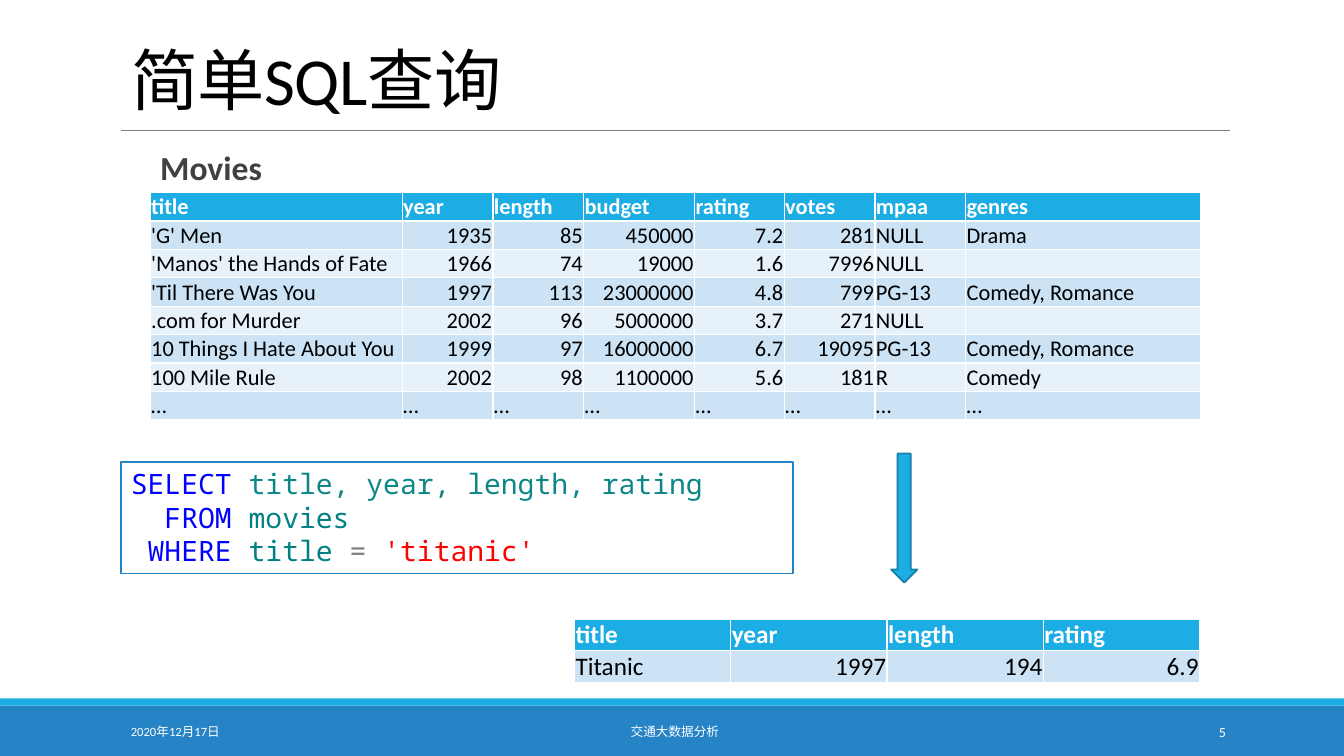
"""Build the slide on simple SQL queries with its source table and result."""
import dataclasses

import lxml.etree
import pptx
import pptx.dml.color
import pptx.enum.shapes
import pptx.enum.text
import pptx.oxml.ns
import pptx.util
from pptx.presentation import Presentation
from pptx.shapes.base import BaseShape
from pptx.slide import Slide
from pptx.text.text import TextFrame

SHAPE = pptx.enum.shapes.MSO_SHAPE
ANCHOR = pptx.enum.text.MSO_ANCHOR
ALIGN = pptx.enum.text.PP_ALIGN
CELLS_PER_INCH = 10
WIDTH, HEIGHT = 133.33, 75
MARGIN, CONTENT_WIDTH = 12, 110
TABLE_LEFT = 14.9
CYAN, BLUE, WHITE, BLACK = "1CADE4", "2683C6", "FFFFFF", "000000"
BANDS = ("E7F1FA", "CCE3F5")


@dataclasses.dataclass(frozen=True)
class Area:
    """A rectangle in grid columns and rows."""
    left: float
    top: float
    width: float
    height: float


@dataclasses.dataclass(frozen=True)
class Span:
    """A stretch of text in one format."""
    text: str
    size: float
    color: str
    bold: bool = False
    font: str = "Calibri"


@dataclasses.dataclass(frozen=True)
class Block:
    """A preset shape with its fill and outline."""
    kind: pptx.enum.shapes.MSO_SHAPE
    area: Area
    fill: str
    outline: str | None = None


@dataclasses.dataclass(frozen=True)
class Label:
    """A one-line text box."""
    area: Area
    span: Span
    align: pptx.enum.text.PP_ALIGN = ALIGN.LEFT
    anchor: pptx.enum.text.MSO_ANCHOR = ANCHOR.MIDDLE
    wrap: bool = True


@dataclasses.dataclass(frozen=True)
class Grid:
    """A table with a header row."""
    left: float
    top: float
    columns: tuple[float, ...]
    row_height: float
    size: float
    anchor: pptx.enum.text.MSO_ANCHOR
    rows: tuple[tuple[str, ...], ...]


MOVIES = Grid(TABLE_LEFT, 19.1, (25, 9, 9, 11, 8.9, 9, 9, 23.3), 2.8, 16, ANCHOR.MIDDLE, (
    ("title", "year", "length", "budget", "rating", "votes", "mpaa", "genres"),
    ("'G' Men", "1935", "85", "450000", "7.2", "281", "NULL", "Drama"),
    ("'Manos' the Hands of Fate", "1966", "74", "19000", "1.6", "7996", "NULL", ""),
    ("'Til There Was You", "1997", "113", "23000000", "4.8", "799", "PG-13", "Comedy, Romance"),
    (".com for Murder", "2002", "96", "5000000", "3.7", "271", "NULL", ""),
    ("10 Things I Hate About You", "1999", "97", "16000000", "6.7", "19095", "PG-13",
     "Comedy, Romance"),
    ("100 Mile Rule", "2002", "98", "1100000", "5.6", "181", "R", "Comedy"),
    ("…",) * 8,
))
RESULT = Grid(57, 61.4, (15.5,) * 4, 3.1, 18, ANCHOR.BOTTOM, (
    ("title", "year", "length", "rating"),
    ("Titanic", "1997", "194", "6.9"),
))
FOOTER_BLOCKS = (
    Block(SHAPE.RECTANGLE, Area(0, 70, WIDTH, 5), BLUE),
    Block(SHAPE.RECTANGLE, Area(0, 69.3, WIDTH, 0.7), CYAN),
)
ARROW = Block(SHAPE.DOWN_ARROW, Area(88.4, 45, 2.6, 12.8), CYAN, "1580A9")
QUERY_BOX = Block(SHAPE.RECTANGLE, Area(MARGIN, 45.8, 66.7, 11.1), WHITE, BLUE)
LABELS = (
    Label(Area(MARGIN, 70.6, 27, 4), Span("2020年12月17日", 9, WHITE)),
    Label(Area(40.6, 70.6, 52.7, 4), Span("交通大数据分析", 9, WHITE), ALIGN.CENTER),
    Label(Area(108.3, 70.6, 14.3, 4), Span("5", 10, WHITE), ALIGN.RIGHT),
    Label(Area(TABLE_LEFT, 14.1, 12.2, 5), Span("Movies", 24, "404040", True),
          anchor=ANCHOR.TOP, wrap=False),
)
KEYWORD, NAME = "0000FF", "008080"
QUERY = (
    (("SELECT ", KEYWORD), ("title, year, length, rating", "0D8686")),
    (("  ", BLACK), ("FROM ", KEYWORD), ("movies", NAME)),
    ((" ", BLACK), ("WHERE ", KEYWORD), ("title ", NAME), ("= ", "808080"),
     ("'titanic'", "FF0000")),
)


def grid(cells: float) -> pptx.util.Emu:
    """Turn grid columns or rows into a length."""
    return pptx.util.Inches(cells / CELLS_PER_INCH)


def place(area: Area) -> tuple[pptx.util.Emu, ...]:
    """Return left, top, width and height as lengths."""
    return tuple(grid(value) for value in dataclasses.astuple(area))


def color(value: str) -> pptx.dml.color.RGBColor:
    """Read a hex colour."""
    return pptx.dml.color.RGBColor.from_string(value)


def write(para: pptx.text.text._Paragraph, span: Span) -> pptx.text.text._Run:
    """Add one formatted run to a paragraph."""
    run = para.add_run()
    run.text = span.text
    run.font.size = pptx.util.Pt(span.size)
    run.font.name = span.font
    run.font.bold = span.bold
    run.font.color.rgb = color(span.color)
    return run


def draw_block(page: Slide, block: Block) -> BaseShape:
    """Draw a preset shape."""
    shape = page.shapes.add_shape(block.kind, *place(block.area))
    shape.shadow.inherit = False
    shape.fill.solid()
    shape.fill.fore_color.rgb = color(block.fill)
    if block.outline:
        shape.line.color.rgb = color(block.outline)
        shape.line.width = pptx.util.Pt(1.25)
    else:
        shape.line.fill.background()
    return shape


def draw_label(page: Slide, label: Label) -> None:
    """Draw a one-line text box."""
    frame = page.shapes.add_textbox(*place(label.area)).text_frame
    frame.word_wrap = label.wrap
    frame.vertical_anchor = label.anchor
    frame.paragraphs[0].alignment = label.align
    write(frame.paragraphs[0], label.span)


def draw_title(page: Slide, text: str) -> None:
    """Fill the title placeholder and draw the rule below it."""
    title = page.shapes.title
    title.left, title.top, title.width, title.height = place(
        Area(MARGIN, 1.4, CONTENT_WIDTH, 10.9))
    title.text_frame.vertical_anchor = ANCHOR.BOTTOM
    para = title.text_frame.paragraphs[0]
    para.alignment = ALIGN.LEFT
    para.line_spacing = 0.85
    run = write(para, Span(text, 48, BLACK))
    run._r.get_or_add_rPr().set("spc", "-50")
    rule = page.shapes.add_connector(
        pptx.enum.shapes.MSO_CONNECTOR.STRAIGHT, grid(MARGIN), grid(12.9),
        grid(MARGIN + CONTENT_WIDTH), grid(12.9))
    rule.line.color.rgb = color("808080")
    rule.line.width = pptx.util.Pt(0.5)
    lxml.etree.SubElement(rule._element.spPr, pptx.oxml.ns.qn("a:effectLst"))


def draw_table(page: Slide, data: Grid) -> None:
    """Draw a banded table with numbers set to the right."""
    area = Area(data.left, data.top, sum(data.columns), data.row_height * len(data.rows))
    table = page.shapes.add_table(len(data.rows), len(data.columns), *place(area)).table
    for column, width in zip(table.columns, data.columns):
        column.width = grid(width)
    for index, texts in enumerate(data.rows):
        header = index == 0
        for cell, text in zip(table.rows[index].cells, texts):
            cell.margin_left = cell.margin_top = cell.margin_right = grid(0.1)
            cell.margin_bottom = 0
            cell.vertical_anchor = data.anchor
            cell.fill.solid()
            cell.fill.fore_color.rgb = color(CYAN if header else BANDS[index % 2])
            para = cell.text_frame.paragraphs[0]
            number = text.replace(".", "").isdigit()
            para.alignment = ALIGN.RIGHT if number else ALIGN.LEFT
            if text:
                write(para, Span(text, data.size, WHITE if header else BLACK, header))
            else:
                lxml.etree.SubElement(para._p, pptx.oxml.ns.qn("a:endParaRPr"),
                                      sz=str(int(data.size * 100)))


def write_query(frame: TextFrame) -> None:
    """Write the coloured SQL statement."""
    frame.word_wrap = True
    frame.vertical_anchor = ANCHOR.TOP
    for index, line in enumerate(QUERY):
        para = frame.add_paragraph() if index else frame.paragraphs[0]
        para.alignment = ALIGN.LEFT
        for text, tint in line:
            write(para, Span(text, 20, tint, font="Noto Sans Mono"))


def main() -> None:
    """Build and save the deck."""
    deck: Presentation = pptx.Presentation()
    deck.slide_width, deck.slide_height = grid(WIDTH), grid(HEIGHT)
    page = deck.slides.add_slide(deck.slide_layouts.get_by_name("Title Only"))
    for block in FOOTER_BLOCKS:
        draw_block(page, block)
    draw_title(page, "简单SQL查询")
    for data in (MOVIES, RESULT):
        draw_table(page, data)
    draw_block(page, ARROW)
    for label in LABELS:
        draw_label(page, label)
    write_query(draw_block(page, QUERY_BOX).text_frame)
    deck.save("out.pptx")


if __name__ == "__main__":
    main()
